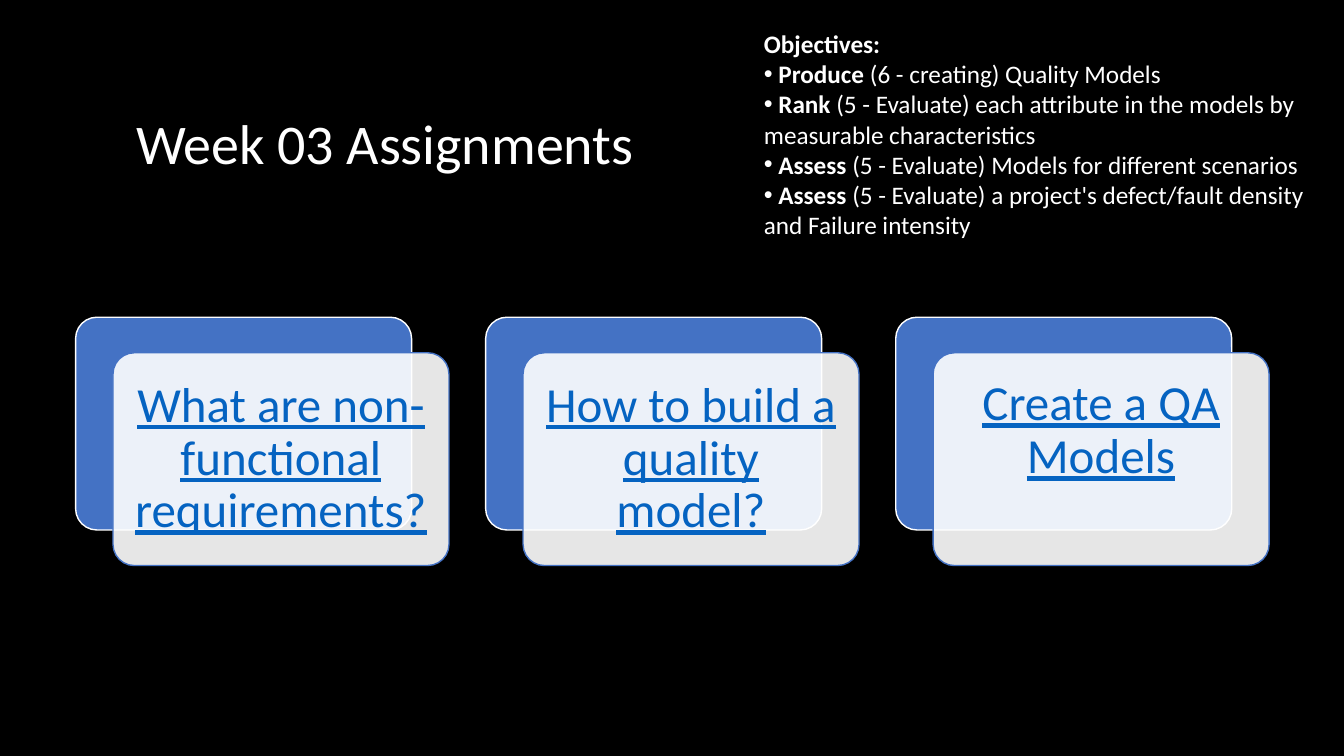
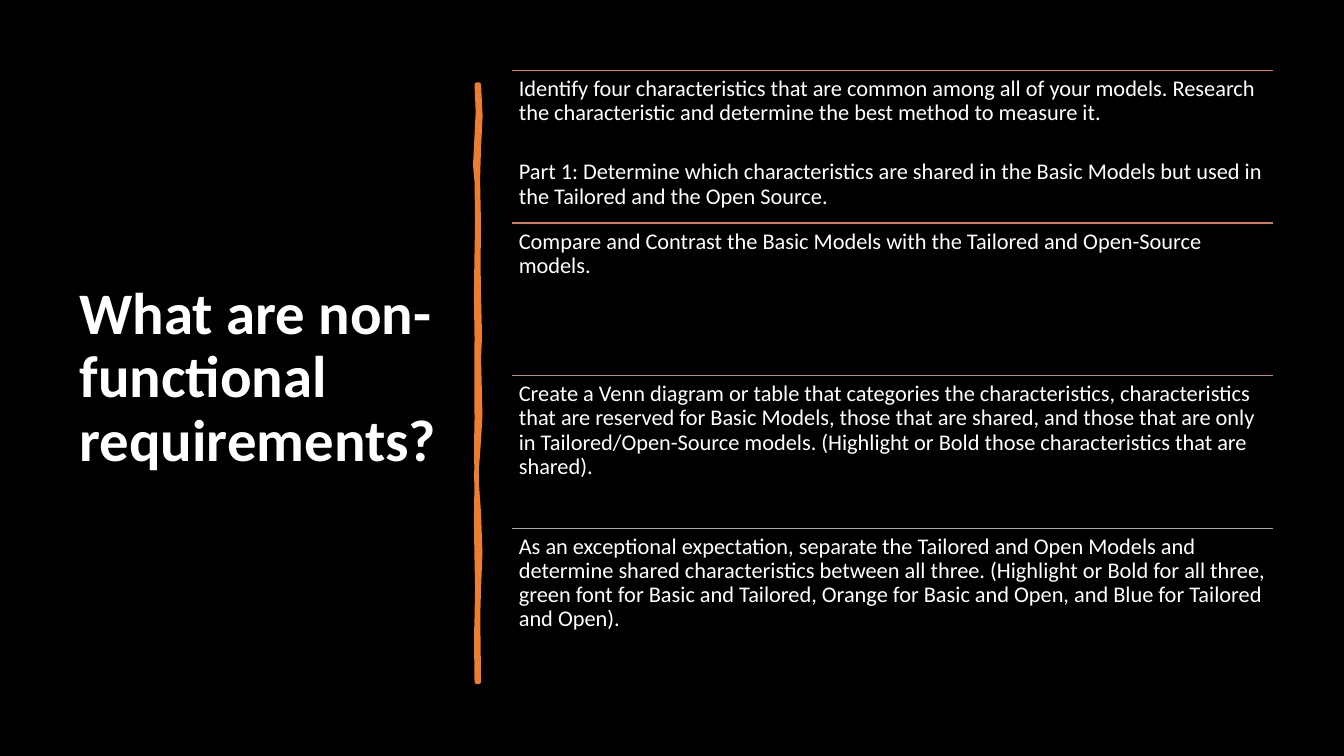
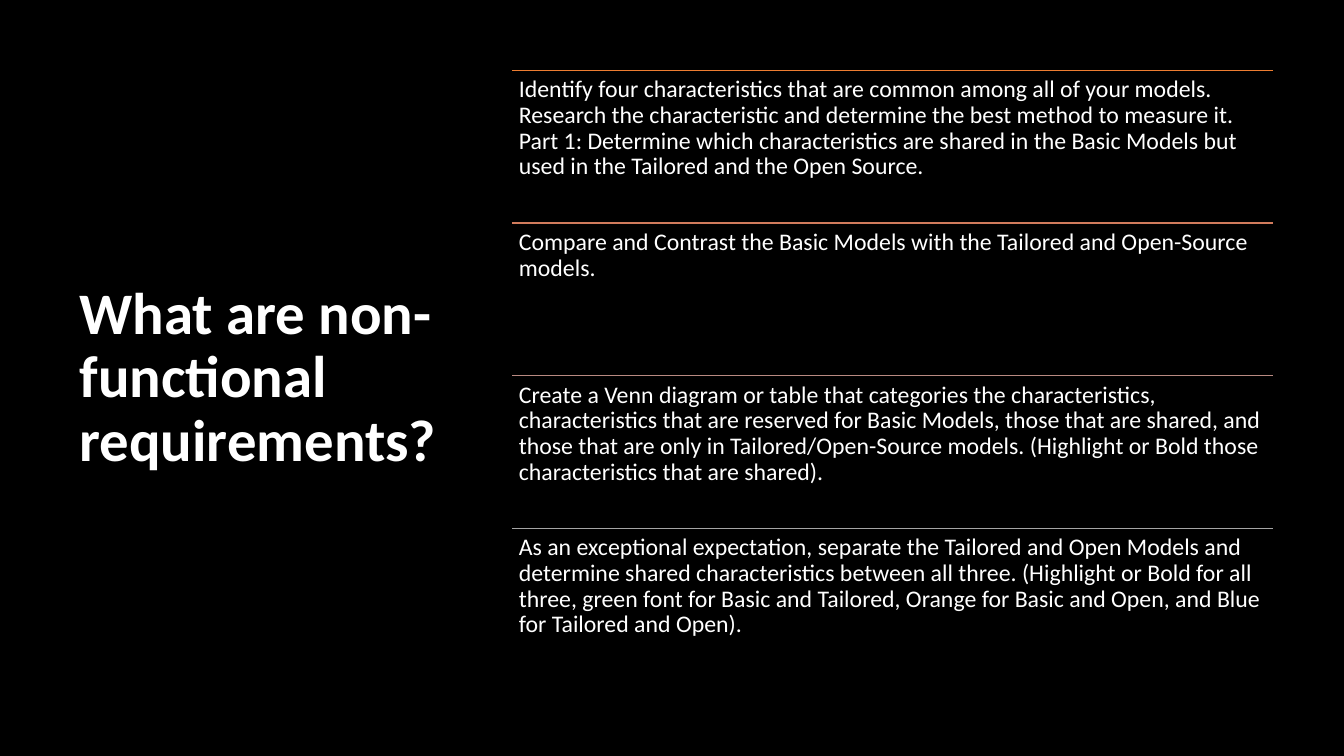
"""Build three course slides on quality model assignments."""
import dataclasses
import typing

import lxml.etree
import pptx
import pptx.dml.color
import pptx.enum.shapes
import pptx.enum.text
import pptx.oxml.ns
import pptx.util

Pt = pptx.util.Pt
ALIGN = pptx.enum.text.PP_ALIGN
ANCHOR = pptx.enum.text.MSO_ANCHOR
FONT = "Calibri"
BLACK, WHITE, BLUE, LINK, ORANGE = "000000", "FFFFFF", "4472C4", "0563C1", "ED7D31"

QUESTION = "What are non-functional requirements?"
IDENTIFY = (
    "Identify four characteristics that are common among all of your models. "
    "Research the characteristic and determine the best method to measure it."
)
PART_ONE = (
    "Part 1: Determine which characteristics are shared in the Basic Models "
    "but used in the Tailored and the Open Source."
)
LATER_STEPS = (
    "Compare and Contrast the Basic Models with the Tailored and Open-Source models.",
    "Create a Venn diagram or table that categories the characteristics, "
    "characteristics that are reserved for Basic Models, those that are shared, "
    "and those that are only in Tailored/Open-Source models. "
    "(Highlight or Bold those characteristics that are shared).",
    "As an exceptional expectation, separate the Tailored and Open Models and "
    "determine shared characteristics between all three. (Highlight or Bold for "
    "all three, green font for Basic and Tailored, Orange for Basic and Open, "
    "and Blue for Tailored and Open).",
)
OBJECTIVES = (
    ("Produce", "(6 - creating) Quality Models"),
    ("Rank", "(5 - Evaluate) each attribute in the models by measurable characteristics"),
    ("Assess", "(5 - Evaluate) Models for different scenarios"),
    ("Assess", "(5 - Evaluate) a project's defect/fault density and Failure intensity"),
)
RULE_COLORS = (ORANGE, "D17B5C", "B98A82", "A5A5A5")
BRUSH_OUTLINE = (
    (342, 60.5), (343.1, 83), (342, 105), (341.3, 128), (342, 163), (341.6, 187),
    (342, 212), (342.7, 240), (342, 256), (343, 297), (342, 314), (340.1, 340),
    (342, 367), (343, 395), (342, 420), (341.4, 440), (342, 487),
    (340.6, 487), (340.2, 455), (340.6, 441), (341, 420), (340.6, 401),
    (340.1, 372), (340.6, 343), (340.2, 320), (340.6, 299), (340.4, 270),
    (340.6, 241), (340.1, 210), (340.6, 180), (341, 160), (340.6, 130),
    (339.5, 118), (341.4, 80), (340.6, 60.5),
)


@dataclasses.dataclass(frozen=True)
class Box:
    """A rectangle in points."""

    left: float
    top: float
    width: float
    height: float

    def lengths(self) -> tuple:
        """Return the four lengths for python-pptx."""
        return tuple(Pt(value) for value in dataclasses.astuple(self))


@dataclasses.dataclass(frozen=True)
class Card:
    """An assignment card and the room kept below its text."""

    text: str
    bottom_inset: float = 11


CARDS = (
    Card(QUESTION),
    Card("How to build a quality model?"),
    Card("Create a QA Models", bottom_inset=51),
)


def rgb(color: str) -> pptx.dml.color.RGBColor:
    """Turn a hex string into a colour."""
    return pptx.dml.color.RGBColor.from_string(color)


def apply(target: typing.Any, values: dict) -> None:
    """Set each named attribute on the target."""
    for key, value in values.items():
        setattr(target, key, value)


def set_font(font: typing.Any, size: float, color: str = WHITE, **extra: bool) -> None:
    """Format a font."""
    apply(font, {"name": FONT, "size": Pt(size), **extra})
    font.color.rgb = rgb(color)


def set_frame(frame: typing.Any, inset: float, **extra: typing.Any) -> None:
    """Wrap a text frame without autofit and set its insets."""
    margins = {f"margin_{side}": Pt(inset) for side in ("left", "top", "right", "bottom")}
    fixed = {"word_wrap": True, "auto_size": pptx.enum.text.MSO_AUTO_SIZE.NONE}
    apply(frame, {**margins, **fixed, **extra})


def paint(shape: typing.Any, fill: str, line: str, weight: float) -> None:
    """Give a shape a plain fill and outline and no shadow."""
    shape.shadow.inherit = False
    shape.fill.solid()
    shape.fill.fore_color.rgb = rgb(fill)
    shape.line.color.rgb = rgb(line)
    shape.line.width = Pt(weight)


def add_slide(deck: typing.Any, title: str, box: Box, size: float, bold: bool) -> typing.Any:
    """Add a title-only slide with its title placed and formatted."""
    slide = deck.slides.add_slide(deck.slide_layouts[5])
    heading = slide.shapes.title
    apply(heading, dict(zip(("left", "top", "width", "height"), box.lengths())))
    set_frame(heading.text_frame, 7.2, vertical_anchor=ANCHOR.MIDDLE)
    paragraph = heading.text_frame.paragraphs[0]
    paragraph.text = title
    apply(paragraph, {"alignment": ALIGN.LEFT, "line_spacing": 0.9})
    set_font(paragraph.font, size, bold=bold)
    return slide


def add_objectives(slide: typing.Any) -> None:
    """Add the list of objectives with bold verbs."""
    frame = slide.shapes.add_textbox(*Box(538.6, 16.6, 421.4, 160).lengths()).text_frame
    set_frame(frame, 7.2, margin_top=Pt(3.6), margin_bottom=Pt(3.6))
    heading = frame.paragraphs[0].add_run()
    heading.text = "Objectives:"
    set_font(heading.font, 18, bold=True)
    for verb, task in OBJECTIVES:
        paragraph = frame.add_paragraph()
        properties = paragraph._p.get_or_add_pPr()
        for tag, key, value in (("a:buFont", "typeface", "Arial"), ("a:buChar", "char", "•")):
            lxml.etree.SubElement(properties, pptx.oxml.ns.qn(tag)).set(key, value)
        for text, bold in ((f" {verb} ", True), (task, False)):
            run = paragraph.add_run()
            run.text = text
            set_font(run.font, 18, bold=bold)


def add_card(slide: typing.Any, card: Card, left: float) -> None:
    """Add a blue backing and a translucent card with link-styled text."""
    rounded = pptx.enum.shapes.MSO_SHAPE.ROUNDED_RECTANGLE
    backing, front = (
        slide.shapes.add_shape(rounded, *Box(left + dx, 226.6 + dy, 240, 152).lengths())
        for dx, dy in ((0, 0), (26.7, 25.4))
    )
    paint(backing, BLUE, WHITE, 1)
    paint(front, WHITE, BLUE, 1)
    for shape in (backing, front):
        shape.adjustments[0] = 0.1
    tint = front._element.spPr.find(
        f"{pptx.oxml.ns.qn('a:solidFill')}/{pptx.oxml.ns.qn('a:srgbClr')}"
    )
    lxml.etree.SubElement(tint, pptx.oxml.ns.qn("a:alpha")).set("val", "90000")
    set_frame(
        front.text_frame, 11,
        margin_bottom=Pt(card.bottom_inset), vertical_anchor=ANCHOR.MIDDLE,
    )
    paragraph = front.text_frame.paragraphs[0]
    paragraph.text = card.text
    apply(paragraph, {"alignment": ALIGN.CENTER, "line_spacing": 0.9})
    set_font(paragraph.runs[0].font, 35, LINK, underline=True)


def add_brush_stroke(slide: typing.Any) -> None:
    """Add the hand-drawn vertical divider."""
    points = [(Pt(x), Pt(y)) for x, y in BRUSH_OUTLINE]
    builder = slide.shapes.build_freeform(*points[0], scale=1.0)
    builder.add_line_segments(points[1:], close=True)
    paint(builder.convert_to_shape(), ORANGE, ORANGE, 3.25)


def add_step(slide: typing.Any, paragraphs: tuple, box: Box, color: str, size: float) -> None:
    """Add one instruction under its coloured rule."""
    rule = slide.shapes.add_connector(
        pptx.enum.shapes.MSO_CONNECTOR.STRAIGHT,
        Pt(box.left), Pt(box.top), Pt(box.left + box.width), Pt(box.top),
    )
    rule.line.color.rgb = rgb(color)
    rule.line.width = Pt(1)
    lxml.etree.SubElement(rule._element.spPr, pptx.oxml.ns.qn("a:effectLst"))
    frame = slide.shapes.add_textbox(*box.lengths()).text_frame
    set_frame(frame, 4.8)
    for index, text in enumerate(paragraphs):
        paragraph = frame.add_paragraph() if index else frame.paragraphs[0]
        paragraph.text = text
        apply(paragraph, {"line_spacing": 0.9, "space_before": Pt(25 if index else 0)})
        for run in paragraph.runs:
            set_font(run.font, size)


def add_steps_slide(deck: typing.Any, first_step: tuple, size: float) -> typing.Any:
    """Add a slide with the question and four ruled instructions."""
    slide = add_slide(deck, QUESTION, Box(49.7, 50.4, 269.3, 440), 42, True)
    steps = (first_step, *((text,) for text in LATER_STEPS))
    for row, (step, color) in enumerate(zip(steps, RULE_COLORS)):
        add_step(slide, step, Box(365.8, 50.4 + 109 * row, 543.6, 109), color, size)
    return slide


def main() -> None:
    """Build and save the slides."""
    deck = pptx.Presentation()
    apply(deck, {"slide_width": Pt(960), "slide_height": Pt(540)})
    background = deck.slide_master.background.fill
    background.solid()
    background.fore_color.rgb = rgb(BLACK)

    assignments = add_slide(deck, "Week 03 Assignments", Box(90, 77.8, 780, 54), 40, False)
    for column, card in enumerate(CARDS):
        add_card(assignments, card, 54 + 292.9 * column)
    add_objectives(assignments)

    add_brush_stroke(add_steps_slide(deck, (IDENTIFY, PART_ONE), 16))
    add_steps_slide(deck, (f"{IDENTIFY} \v{PART_ONE}",), 17)
    deck.save("out.pptx")


if __name__ == "__main__":
    main()
